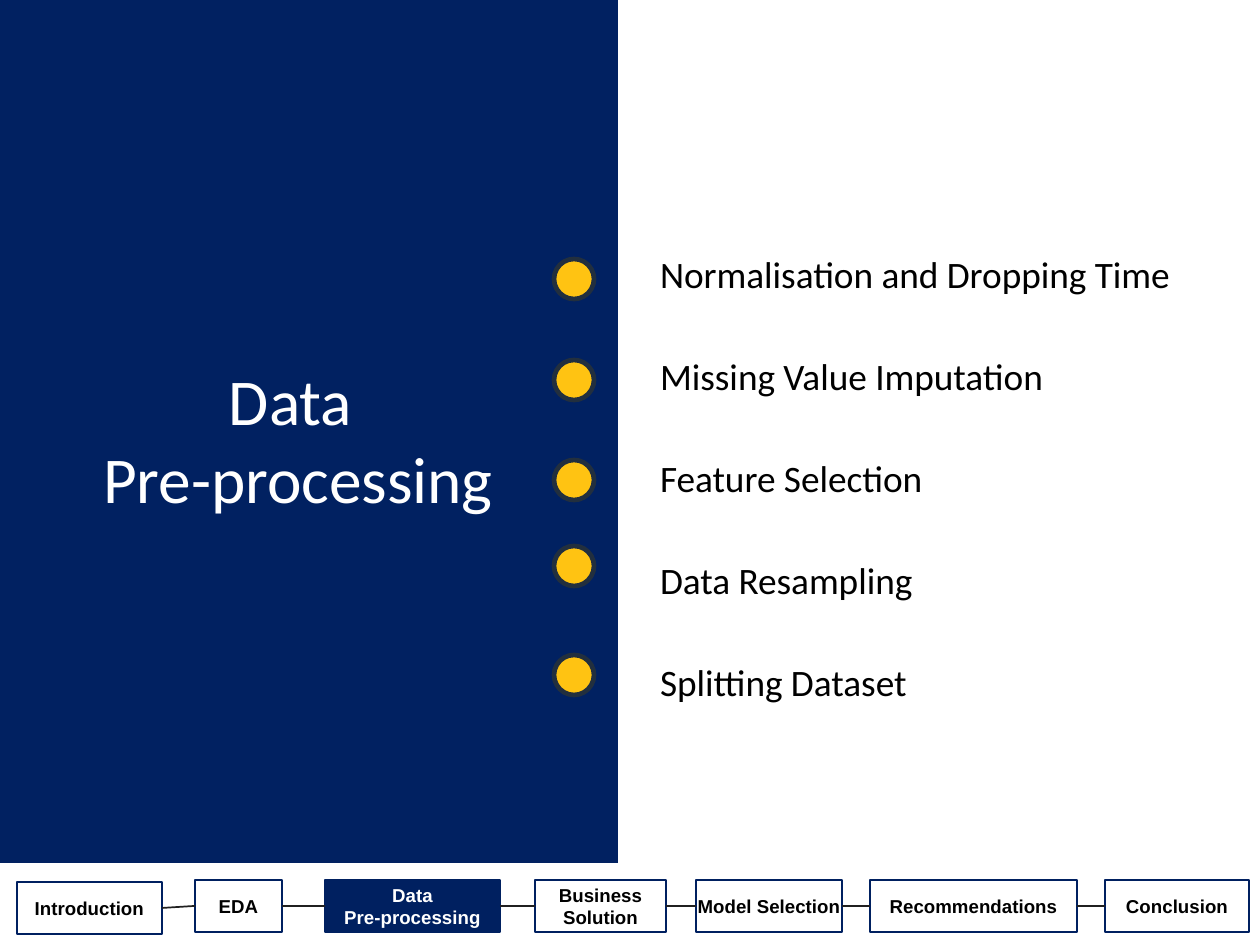
from lxml import etree
from pptx import Presentation
from pptx.dml.color import RGBColor
from pptx.enum.shapes import MSO_CONNECTOR, MSO_SHAPE
from pptx.enum.text import MSO_ANCHOR, PP_ALIGN
from pptx.oxml.ns import qn
from pptx.util import Pt

RECT, OVAL = MSO_SHAPE.RECTANGLE, MSO_SHAPE.OVAL
STRAIGHT = MSO_CONNECTOR.STRAIGHT
LEFT, CENTER = PP_ALIGN.LEFT, PP_ALIGN.CENTER
TOP, MIDDLE = MSO_ANCHOR.TOP, MSO_ANCHOR.MIDDLE

TITLE = ["Data ", "Pre-processing"]
TOPICS = [
    ("Normalisation and Dropping Time", 259),
    ("Missing Value Imputation", 360),
    ("Feature Selection", 460),
    ("Data Resampling", 546),
    ("Splitting Dataset", 655),
]
STEPS = [
    (["Introduction"], 17, 882, 145),
    (["EDA"], 195, 880, 87),
    (["Data", "Pre-processing"], 325, 880, 175),
    (["Business Solution"], 535, 880, 131),
    (["Model Selection"], 696, 880, 146),
    (["Recommendations"], 870, 880, 207),
    (["Conclusion"], 1105, 880, 144),
]
CURRENT = 2
STEP_H = 52
DOT_X, DOT = 554, 40
NAVY, PANEL, WHITE, BLACK = "002060", "012161", "FFFFFF", "000000"
YELLOW, SLATE, GREY = "FFC312", "222F3E", "202020"


def px(n):
    return round(n * 914400 / 168)


def rgb(value):
    return RGBColor.from_string(value)


def add_box(s, kind, x, y, w, h, fill, line=None, width=1):
    sp = s.shapes.add_shape(kind, px(x), px(y), px(w), px(h))
    sp.shadow.inherit = False
    sp.fill.solid()
    sp.fill.fore_color.rgb = rgb(fill)
    if line:
        sp.line.color.rgb = rgb(line)
        sp.line.width = Pt(width)
    else:
        sp.line.fill.background()
    return sp


def write(sp, lines, size, font, color, align, anchor, margin, bold=False, spacing=None, gap=0):
    tf = sp.text_frame
    tf.word_wrap = True
    tf.vertical_anchor = anchor
    tf.margin_left = tf.margin_right = tf.margin_top = tf.margin_bottom = px(margin)
    for i, text in enumerate(lines):
        p = tf.paragraphs[0] if i == 0 else tf.add_paragraph()
        p.alignment = align
        if spacing:
            p.line_spacing = spacing
        if i and gap:
            p.space_before = Pt(gap)
        r = p.add_run()
        r.text = text
        r.font.size = Pt(size)
        r.font.name = font
        r.font.bold = bold
        r.font.color.rgb = rgb(color)


def add_steps(s):
    boxes = []
    for i, (lines, x, y, w) in enumerate(STEPS):
        fill, color = (NAVY, WHITE) if i == CURRENT else (WHITE, BLACK)
        sp = add_box(s, RECT, x, y, w, STEP_H, fill, NAVY)
        write(sp, lines, 8, "Arial", color, CENTER, MIDDLE, 0, bold=True)
        boxes.append(sp)
    for a, b in zip(boxes, boxes[1:]):
        link = s.shapes.add_connector(STRAIGHT, 0, 0, 0, 0)
        link.begin_connect(a, 3)
        link.end_connect(b, 1)
        link.line.color.rgb = rgb(GREY)
        link.line.width = Pt(0.75)
        etree.SubElement(link._element.spPr, qn("a:effectLst"))


def main():
    """Build the section slide with its topics and progress bar."""
    prs = Presentation()
    prs.slide_width, prs.slide_height = px(1260), px(945)
    s = prs.slides.add_slide(prs.slide_layouts[6])
    add_steps(s)
    add_box(s, RECT, -3, -15, 621, 878, PANEL)
    topics = s.shapes.add_textbox(px(643), px(228), px(600), px(490))
    write(topics, [text for text, _ in TOPICS], 16, "Calibri", BLACK, LEFT, TOP, 17,
          spacing=1.15, gap=21.6)
    title = s.shapes.add_textbox(px(45), px(348), px(506), px(175))
    write(title, TITLE, 28, "Calibri", WHITE, CENTER, TOP, 12)
    for _, y in TOPICS:
        add_box(s, OVAL, DOT_X, y, DOT, DOT, YELLOW, SLATE, 2)
    prs.save("out.pptx")


if __name__ == "__main__":
    main()
